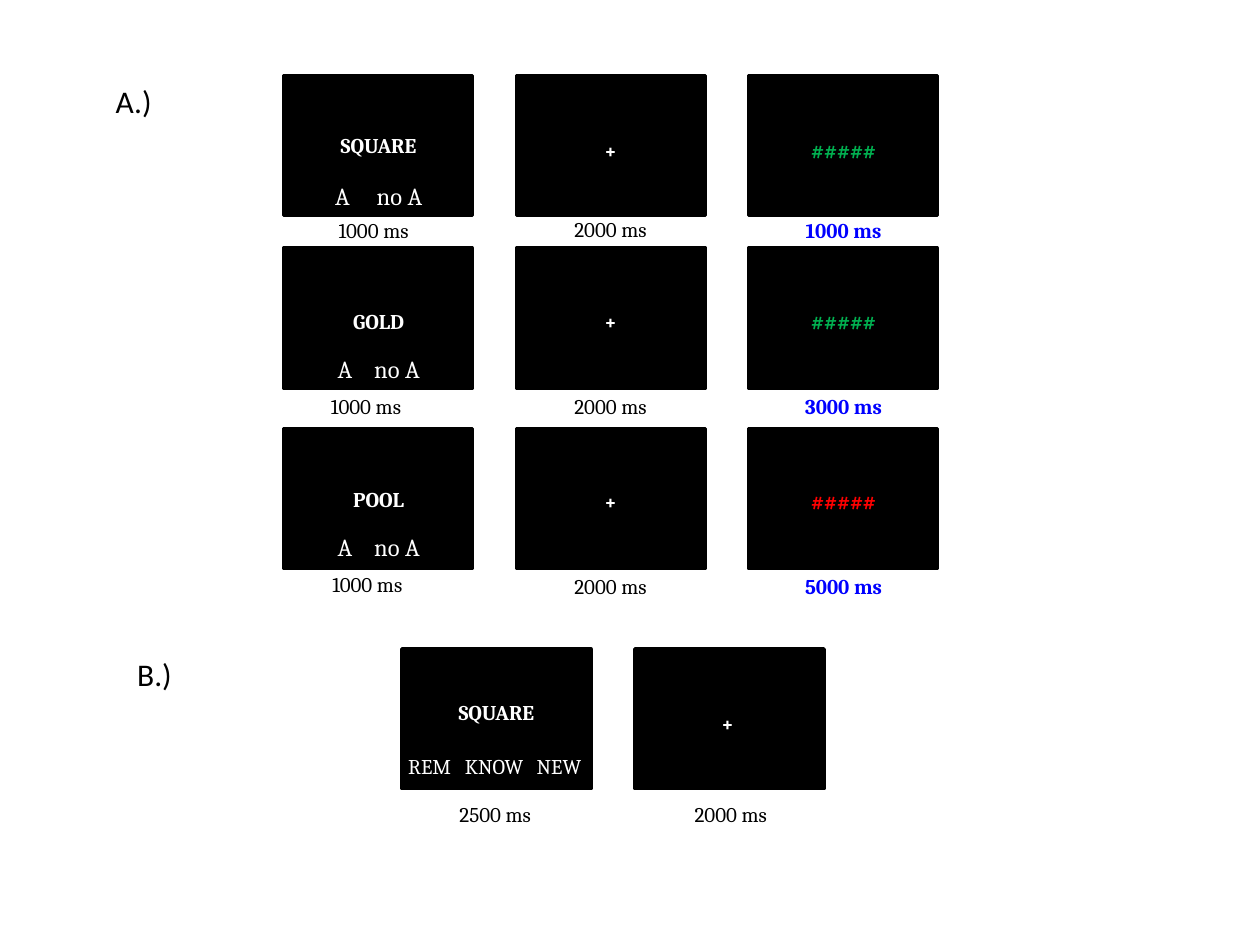
from lxml import etree
from pptx import Presentation
from pptx.dml.color import RGBColor
from pptx.enum import shapes, text
from pptx.oxml import ns
from pptx.util import Inches, Pt

BLACK = RGBColor(0, 0, 0)
WHITE = RGBColor(255, 255, 255)
GREEN = RGBColor(0, 176, 80)
RED = RGBColor(255, 0, 0)
BLUE = RGBColor(0, 0, 255)

deck = Presentation()
deck.slide_width, deck.slide_height = Inches(10), Inches(7.5)
page = deck.slides.add_slide(deck.slide_layouts[6])


def add_screen(left, top):
    """Draw one black stimulus screen."""
    screen = page.shapes.add_shape(
        shapes.MSO_SHAPE.RECTANGLE,
        Inches(left), Inches(top), Inches(1.5), Inches(1.11))
    screen.shadow.inherit = False
    screen.fill.solid()
    screen.fill.fore_color.rgb = BLACK
    screen.line.color.rgb = BLACK
    screen.line.width = Pt(2)


def add_text(words, left, top, width, height, size=12, color=BLACK, bold=False,
             font="Cambria", align=text.PP_ALIGN.CENTER, indent=0.1, tabs=()):
    """Write one line of text; tabs are distances from the text start."""
    box = page.shapes.add_textbox(
        Inches(left), Inches(top), Inches(width), Inches(height))
    box.text_frame.word_wrap = True
    box.text_frame.margin_left = Inches(indent)
    para = box.text_frame.paragraphs[0]
    para.alignment = text.PP_ALIGN.LEFT if tabs else align
    span = para.add_run()
    span.text = words
    span.font.name = font
    span.font.size = Pt(size)
    span.font.bold = bold
    span.font.color.rgb = color
    if tabs:
        stops = etree.SubElement(para._p.get_or_add_pPr(), ns.qn("a:tabLst"))
        for distance in tabs:
            etree.SubElement(stops, ns.qn("a:tab"),
                             pos=str(Inches(distance)), algn="l")


# Part A: word, fixation and feedback screens, one trial per row
SCREEN_LEFTS = (2.25, 4.1, 5.94)
trials = [
    # screen top, word, word top, mark top, answer top, answer indent, answer tab,
    # feedback colour, feedback time, time height, (left, top) of the three times
    (0.6, "SQUARE", 1.0, 1.04, 1.39, 0.13, 0.33, GREEN, "1000 ms", 0.23,
     ((2.39, 1.68), (4.27, 1.67), (6.12, 1.68))),
    (1.97, "GOLD", 2.4, 2.4, 2.76, 0.15, 0.29, GREEN, "3000 ms", 0.32,
     ((2.33, 3.07), (4.27, 3.07), (6.12, 3.07))),
    (3.4, "POOL", 3.81, 3.83, 4.17, 0.15, 0.29, RED, "5000 ms", 0.27,
     ((2.34, 4.49), (4.27, 4.5), (6.12, 4.5))),
]
for (top, word, word_top, mark_top, answer_top, indent, tab,
     feedback_color, feedback_time, time_height, time_places) in trials:
    for left in SCREEN_LEFTS:
        add_screen(left, top)
    add_text(word, 2.58, word_top, 0.85, 0.28, color=WHITE, bold=True)
    add_text("+", 4.42, mark_top, 0.85, 0.23, color=WHITE, bold=True)
    add_text("#####", 6.27, mark_top, 0.85, 0.23, color=feedback_color, bold=True)
    add_text("A\tno A", 2.53, answer_top, 0.95, 0.24, size=14, color=WHITE,
             indent=indent, tabs=(tab,))
    times = (("1000 ms", BLACK), ("2000 ms", BLACK), (feedback_time, BLUE))
    for (time, color), (left, time_top) in zip(times, time_places):
        add_text(time, left, time_top, 1.15, time_height,
                 color=color, bold=color == BLUE)

# Part B: recognition test
for left, time_left, time in ((3.19, 2.97, "2500 ms"), (5.04, 4.84, "2000 ms")):
    add_screen(left, 5.15)
    add_text(time, time_left, 6.31, 1.92, 0.3)
add_text("SQUARE", 3.23, 5.5, 1.42, 0.3, color=WHITE, bold=True)
add_text("REM\tKNOW\tNEW", 3.01, 5.93, 1.83, 0.3, color=WHITE,
         indent=0.23, tabs=(0.45, 1.02))
add_text("+", 5.35, 5.59, 0.85, 0.23, color=WHITE, bold=True)

for label, left, top in (("A.)", 0.82, 0.6), ("B.)", 0.99, 5.15)):
    add_text(label, left, top, 0.88, 0.4, size=18, font="Calibri",
             align=text.PP_ALIGN.LEFT)

deck.save("out.pptx")
